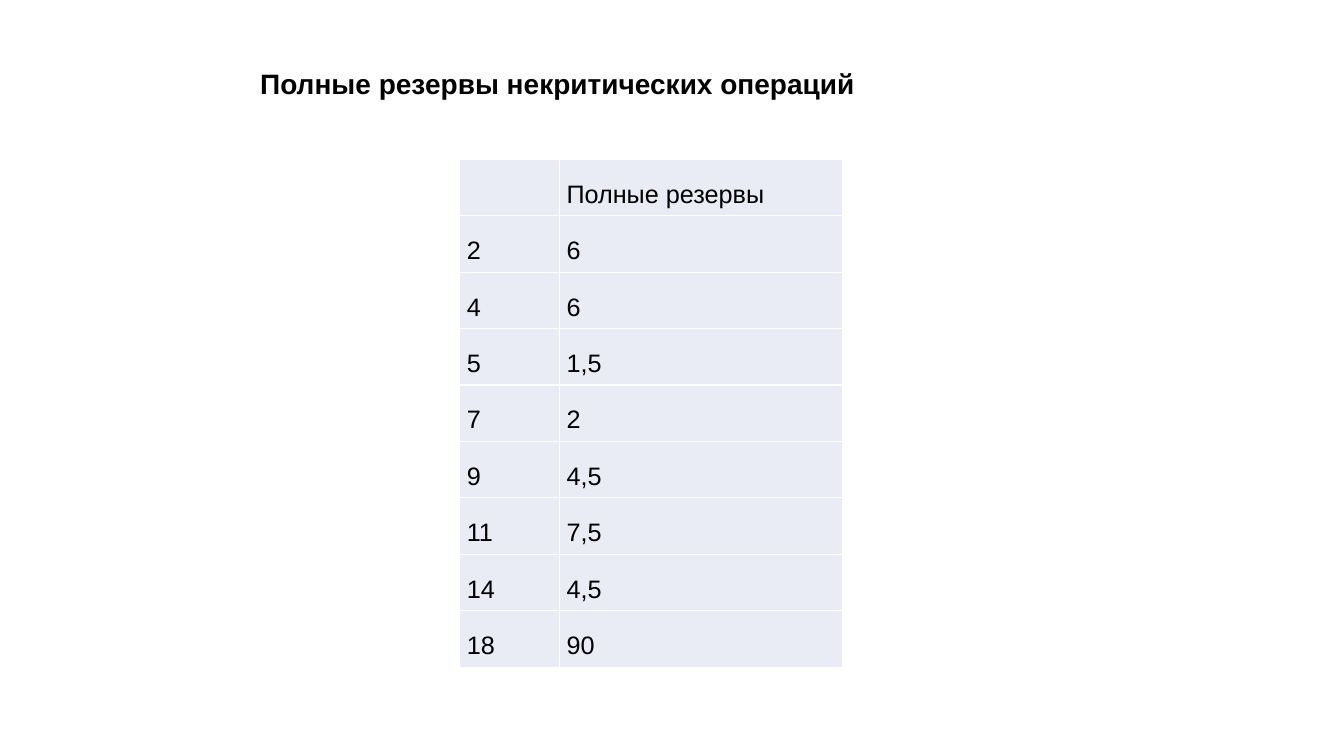
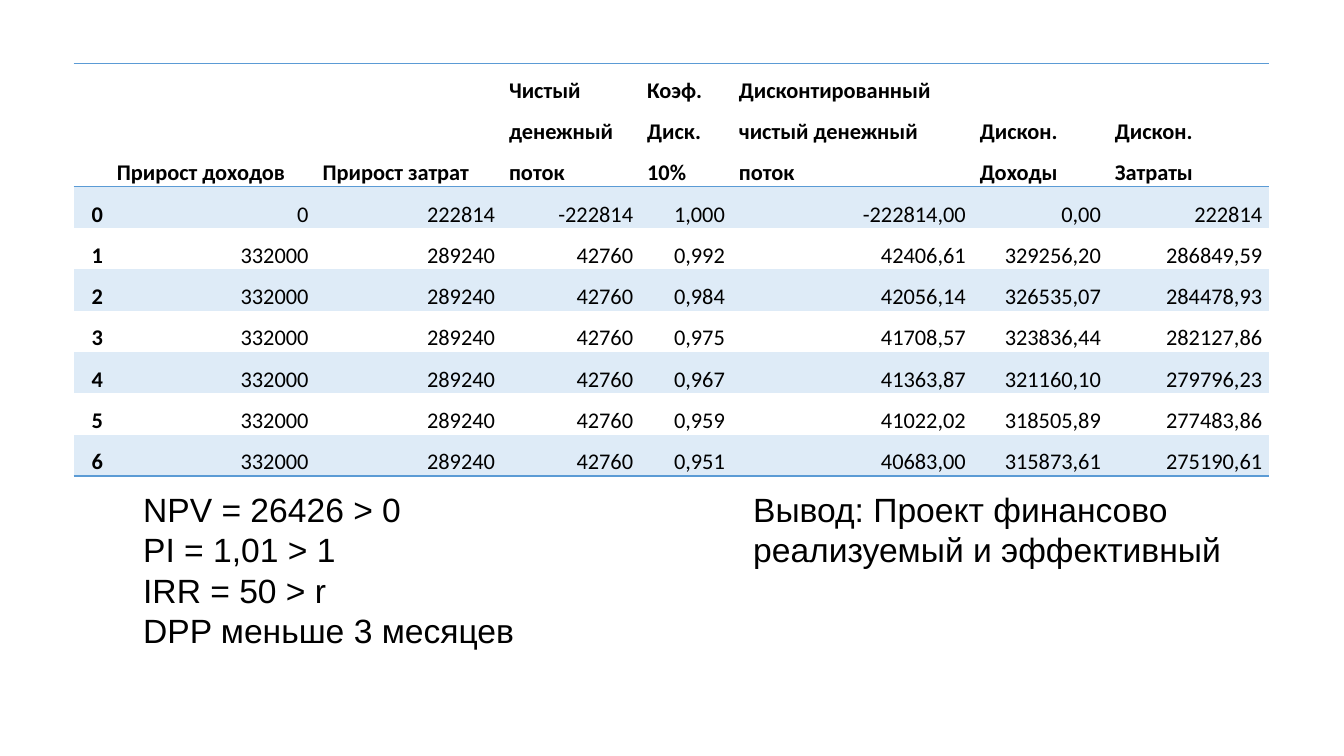
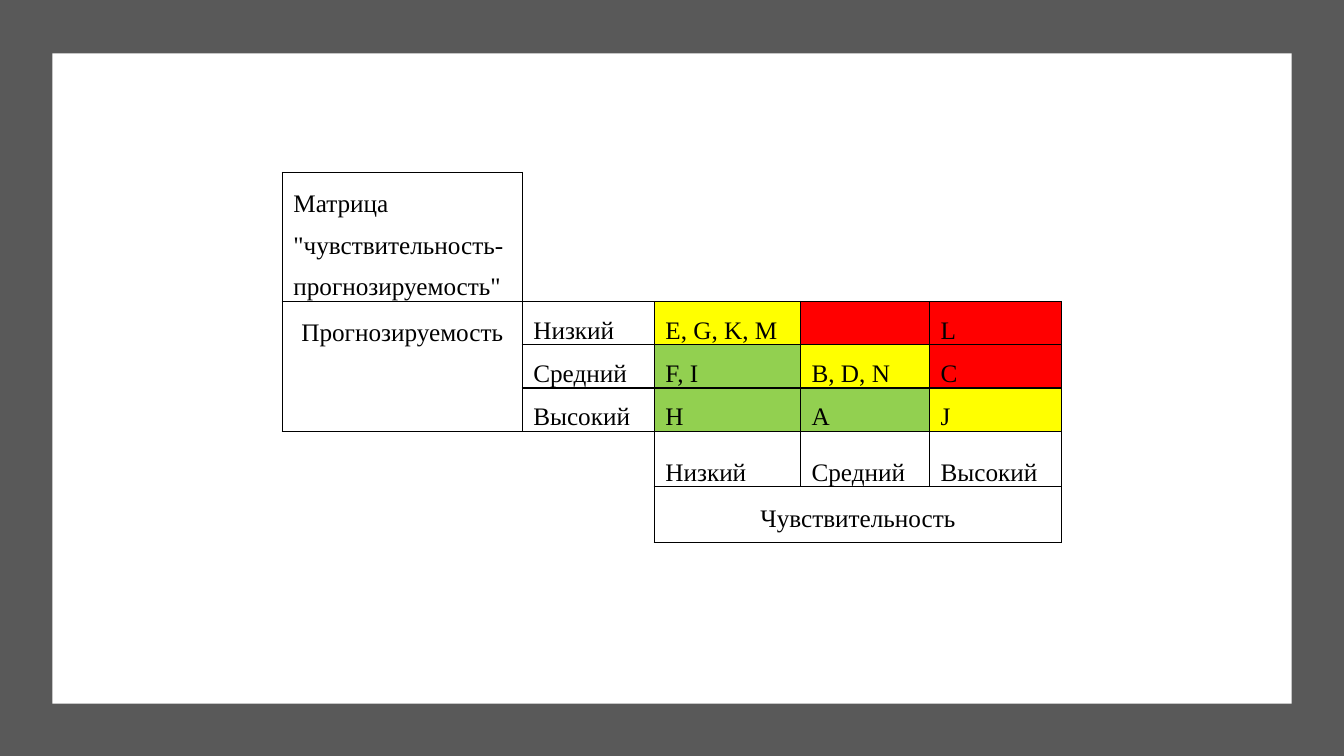
from pptx import Presentation
from pptx import util as u
from pptx.dml.color import RGBColor
from pptx.enum import shapes, text
from pptx.oxml import parse_xml
from pptx.oxml.ns import nsdecls

# Content
RESERVES_TITLE = "Полные резервы некритических операций"
RESERVES = [("", "Полные резервы"), ("2", "6"), ("4", "6"), ("5", "1,5"), ("7", "2"),
            ("9", "4,5"), ("11", "7,5"), ("14", "4,5"), ("18", "90")]

FLOW_HEAD = ["", "Прирост доходов", "Прирост затрат", "Чистый денежный поток",
             "Коэф. Диск. 10%", "Дисконтированный чистый денежный поток",
             "Дискон. Доходы", "Дискон. Затраты"]
FLOW_START = ["0", "0", "222814", "-222814", "1,000", "-222814,00", "0,00", "222814"]
MONTHLY = ["332000", "289240", "42760"]
DISCOUNTED = [("0,992", "42406,61", "329256,20", "286849,59"),
              ("0,984", "42056,14", "326535,07", "284478,93"),
              ("0,975", "41708,57", "323836,44", "282127,86"),
              ("0,967", "41363,87", "321160,10", "279796,23"),
              ("0,959", "41022,02", "318505,89", "277483,86"),
              ("0,951", "40683,00", "315873,61", "275190,61")]
FLOW = [FLOW_HEAD, FLOW_START] + [[str(month), *MONTHLY, *row]
                                  for month, row in enumerate(DISCOUNTED, 1)]
METRICS = ["NPV = 26426 > 0", "PI = 1,01 > 1", "IRR = 50 > r", "DPP меньше 3 месяцев"]
CONCLUSION = ["Вывод: Проект финансово реализуемый и эффективный"]

MATRIX = [['Матрица "чувствительность-прогнозируемость"', "", "", "", ""],
          ["Прогнозируемость", "Низкий", "E, G, K, M", "", "L"],
          ["", "Средний", "F, I", "B, D, N", "C"],
          ["", "Высокий", "H", "A", "J"],
          ["", "", "Низкий", "Средний", "Высокий"],
          ["", "", "Чувствительность", "", ""]]
RISK = ["medium high high", "low medium high", "low low medium"]

# Shared style
W, H = 13.33, 7.5
COLORS = {"black": "000000", "white": "FFFFFF", "frame": "595959", "cell": "E9EBF5",
          "rule": "5B9BD5", "band": "DEEBF7",
          "low": "92D050", "medium": "FFFF00", "high": "FF0000"}
NO_STYLE = "{2D5ABB26-0587-4C30-8999-92F81FD0307C}"
LEFT, CENTER, RIGHT = text.PP_ALIGN.LEFT, text.PP_ALIGN.CENTER, text.PP_ALIGN.RIGHT
TOP, BOTTOM = text.MSO_ANCHOR.TOP, text.MSO_ANCHOR.BOTTOM


def rgb(name):
    return RGBColor.from_string(COLORS[name])


def write(tf, lines, size=18, font="Arial", bold=False, align=LEFT, spacing=1.0):
    for i, line in enumerate(lines):
        p = tf.paragraphs[0] if i == 0 else tf.add_paragraph()
        p.alignment, p.line_spacing = align, spacing
        p.space_before = p.space_after = u.Pt(0)
        pPr = p._p.get_or_add_pPr()
        pPr.set("marL", "0")
        pPr.set("indent", "0")
        pPr.append(parse_xml(f"<a:buNone {nsdecls('a')}/>"))
        r = p.add_run()
        r.text = line
        r.font.size, r.font.name, r.font.bold = u.Pt(size), font, bold
        r.font.color.rgb = rgb("black")


def place(sp, lines, left, top, width, height, **fmt):
    sp.left, sp.top, sp.width, sp.height = map(u.Inches, (left, top, width, height))
    tf = sp.text_frame
    tf.word_wrap, tf.auto_size = True, text.MSO_AUTO_SIZE.NONE
    tf.vertical_anchor = TOP
    write(tf, lines, **fmt)


def add_table(s, rows, left, top, cols, heights):
    frame = s.shapes.add_table(len(rows), len(cols), *map(
        u.Inches, (left, top, sum(cols), sum(heights))))
    table = frame.table
    table.first_row = table.horz_banding = False
    table._tbl.tblPr.find("{*}tableStyleId").text = NO_STYLE
    for col, width in zip(table.columns, cols):
        col.width = u.Inches(width)
    for row, height in zip(table.rows, heights):
        row.height = u.Inches(height)
    return table


def style_cell(cell, value, fill=None, border=None, sides="LRTB",
               insets=(0.07, 0.07, 0.07, 0.07), anchor=TOP, **fmt):
    cell.margin_left, cell.margin_top, cell.margin_right, cell.margin_bottom = map(
        u.Inches, insets)
    cell.vertical_anchor = anchor
    if value:
        write(cell.text_frame, [value], spacing=1.5, **fmt)
    for side in sides if border else "":
        cell._tc.get_or_add_tcPr().append(parse_xml(
            f'<a:ln{side} {nsdecls("a")} w="12700"><a:solidFill>'
            f'<a:srgbClr val="{COLORS[border]}"/></a:solidFill></a:ln{side}>'))
    if fill:
        cell.fill.solid()
        cell.fill.fore_color.rgb = rgb(fill)
    else:
        cell.fill.background()


def reserves_slide(prs):
    s = prs.slides.add_slide(prs.slide_layouts[5])
    table = add_table(s, RESERVES, 4.56, 1.58, [0.99, 2.81], [0.56] * len(RESERVES))
    for i, row in enumerate(RESERVES):
        for j, value in enumerate(row):
            style_cell(table.cell(i, j), value, fill="cell", border="white")
    place(s.shapes.title, [RESERVES_TITLE], 2.48, 0.61, 8.37, 0.44, size=20, bold=True)


def cash_flow_slide(prs):
    s = prs.slides.add_slide(prs.slide_layouts[3])
    title, metrics, conclusion = s.placeholders
    title._element.getparent().remove(title._element)
    cols = [0.36, 2.04, 1.85, 1.37, 0.91, 2.39, 1.34, 1.6]
    table = add_table(s, FLOW, 0.73, 0.63, cols, [1.22] + [0.41] * (len(FLOW) - 1))
    sides = {0: "TB", len(FLOW) - 1: "B"}
    for i, row in enumerate(FLOW):
        for j, value in enumerate(row):
            style_cell(table.cell(i, j), value, fill="band" if i % 2 else None,
                       border="rule", sides=sides.get(i, ""), insets=(0.07, 0, 0.07, 0),
                       anchor=BOTTOM, size=16, font="Calibri", bold=i == 0 or j == 0,
                       align=RIGHT if i else LEFT)
    place(metrics, METRICS, 1.32, 4.8, 4.54, 2.52, size=24)
    place(conclusion, CONCLUSION, 7.37, 4.8, 5.23, 0.91, size=24)


def matrix_slide(prs):
    s = prs.slides.add_slide(prs.slide_layouts[6])
    # Frame and sheet
    for color, box in (("frame", (0, 0, W, H)), ("white", (0.52, 0.53, 12.29, 6.45))):
        sp = s.shapes.add_shape(shapes.MSO_SHAPE.RECTANGLE, *map(u.Inches, box))
        sp.shadow.inherit = False
        sp.fill.solid()
        sp.fill.fore_color.rgb = rgb(color)
        sp.line.fill.background()
    # Sensitivity matrix
    table = add_table(s, MATRIX, 2.8, 1.71, [2.38, 1.31, 1.45, 1.28, 1.31],
                      [1.28] + [0.43] * 3 + [0.55] * 2)
    table.cell(1, 0).merge(table.cell(3, 0))
    table.cell(5, 2).merge(table.cell(5, 4))
    risk = {(i, j): level for i, row in enumerate(RISK, 1)
            for j, level in enumerate(row.split(), 2)}
    for i, row in enumerate(MATRIX):
        for j, value in enumerate(row):
            cell, fill = table.cell(i, j), risk.get((i, j))
            axis = cell.is_merge_origin
            style_cell(cell, value, fill=fill, font="Times New Roman",
                       border="black" if value or fill or cell.is_spanned else None,
                       insets=(0.09, 0.04, 0.09, 0.04) if axis else (0.11, 0.01, 0.11, 0),
                       anchor=TOP if axis else BOTTOM, align=CENTER if axis else LEFT)


def main():
    prs = Presentation()
    prs.slide_width, prs.slide_height = u.Inches(W), u.Inches(H)
    for build in (reserves_slide, cash_flow_slide, matrix_slide):
        build(prs)
    prs.save("out.pptx")


if __name__ == "__main__":
    main()
